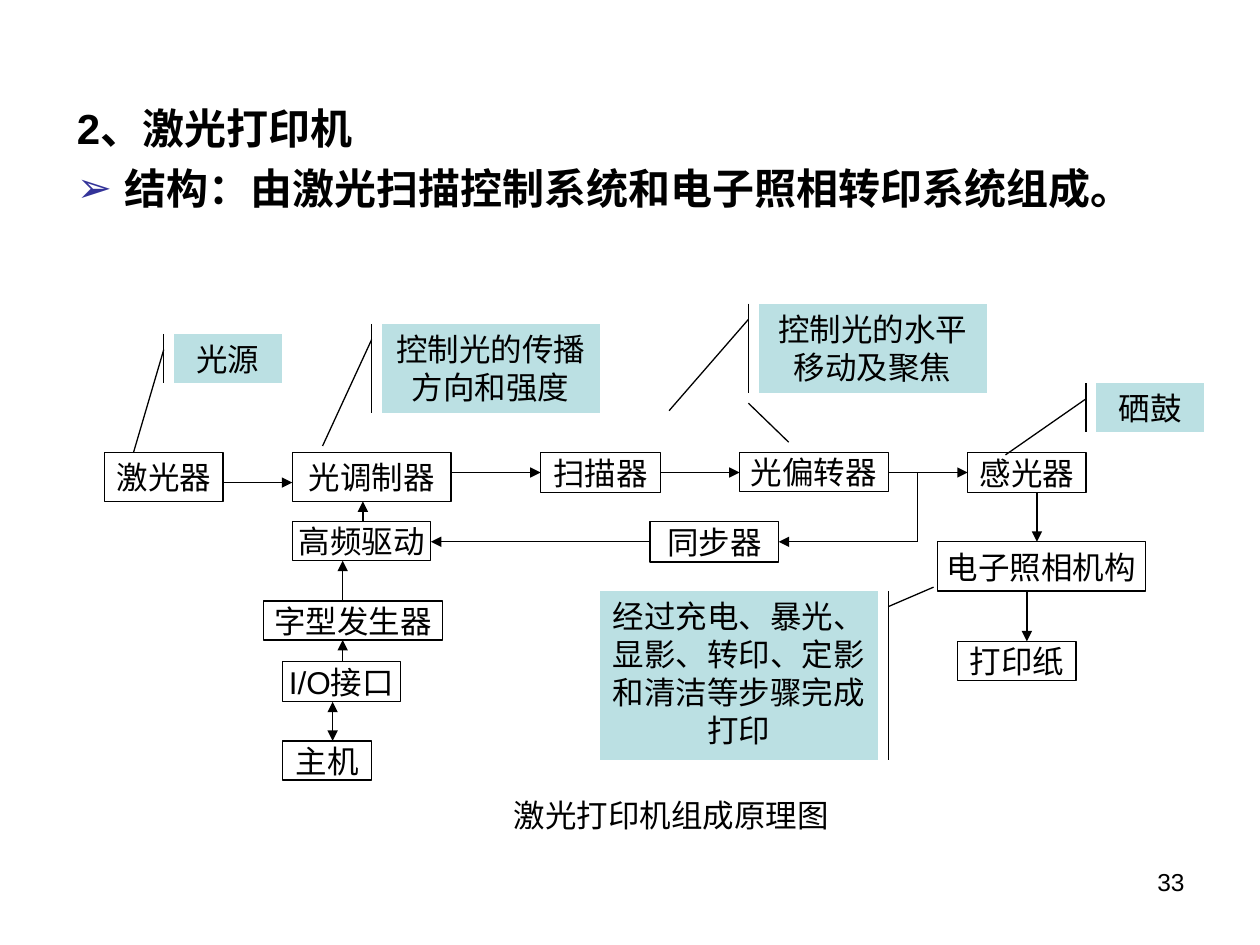
from lxml import etree
from pptx import Presentation
from pptx.dml.color import RGBColor
from pptx.enum.shapes import MSO_CONNECTOR, MSO_SHAPE
from pptx.enum.text import MSO_ANCHOR, PP_ALIGN
from pptx.oxml.ns import qn
from pptx.util import Inches, Pt

RECTANGLE = MSO_SHAPE.RECTANGLE
CALLOUT = MSO_SHAPE.LINE_CALLOUT_1_ACCENT_BAR
STRAIGHT = MSO_CONNECTOR.STRAIGHT
LEFT, CENTER, RIGHT = PP_ALIGN.LEFT, PP_ALIGN.CENTER, PP_ALIGN.RIGHT
TOP, MIDDLE = MSO_ANCHOR.TOP, MSO_ANCHOR.MIDDLE
BLACK, CALLOUT_FILL, BULLET_COLOR = "000000", "BBE0E3", "333399"
BAR_GAP = 0.08  # from a callout to its accent bar
LEADER_DROP = 0.125  # from the top of the bar to the leader line

HEADING = "2、激光打印机"
BULLET = "结构：由激光扫描控制系统和电子照相转印系统组成。"
CAPTION = "激光打印机组成原理图"
PAGE_NUMBER = "33"

# label: (left, top, width, height)
BOXES = {
    "激光器": (0.83, 3.59, 0.94, 0.39),
    "光调制器": (2.32, 3.59, 1.26, 0.39),
    "扫描器": (4.29, 3.59, 0.95, 0.32),
    "光偏转器": (5.87, 3.59, 1.18, 0.31),
    "感光器": (7.68, 3.59, 0.94, 0.32),
    "高频驱动": (2.32, 4.14, 1.1, 0.31),
    "同步器": (5.16, 4.14, 1.02, 0.32),
    "电子照相机构": (7.44, 4.3, 1.65, 0.39),
    "字型发生器": (2.09, 4.77, 1.42, 0.31),
    "打印纸": (7.6, 5.09, 0.94, 0.31),
    "I/O接口": (2.24, 5.25, 0.94, 0.32),
    "主机": (2.24, 5.88, 0.71, 0.31),
}
# (source, target, y of the arrow)
HORIZONTAL_ARROWS = [
    ("激光器", "光调制器", 3.83),
    ("光调制器", "扫描器", 3.75),
    ("扫描器", "光偏转器", 3.75),
    ("光偏转器", "感光器", 3.75),
    ("同步器", "高频驱动", 4.3),
]
# (source, target, x of the arrow, arrowheads at both ends)
VERTICAL_ARROWS = [
    ("高频驱动", "光调制器", 2.88, False),
    ("字型发生器", "高频驱动", 2.72, False),
    ("I/O接口", "字型发生器", 2.72, False),
    ("I/O接口", "主机", 2.64, True),
    ("感光器", "电子照相机构", 8.23, False),
    ("电子照相机构", "打印纸", 8.15, False),
]
# (text, box, side of the bar, tip of the leader line)
CALLOUTS = [
    ("光源", (1.38, 2.65, 0.86, 0.39), LEFT, (1.06, 3.59)),
    ("控制光的传播方向和强度", (3.03, 2.57, 1.73, 0.71), LEFT, (2.56, 3.54)),
    ("控制光的水平移动及聚焦", (6.02, 2.41, 1.81, 0.71), LEFT, (5.31, 3.26)),
    ("硒鼓", (8.7, 3.04, 0.86, 0.39), LEFT, (7.98, 3.61)),
    ("经过充电、暴光、显影、转印、定影和清洁等步骤完成打印",
     (4.76, 4.69, 2.21, 1.34), RIGHT, (7.41, 4.66)),
]
BRANCH_X, BRANCH_TOP, BRANCH_BOTTOM = 7.28, 3.75, 4.3


def color(value):
    return RGBColor.from_string(value)


def inches(values):
    return [Inches(value) for value in values]


def format_font(paragraph, size, bold=False):
    font = paragraph.font
    font.name, font.size, font.bold = "Arial", Pt(size), bold
    font.color.rgb = color(BLACK)


def set_text(shape, text, size=18, align=LEFT, anchor=TOP, wrap=True, margins=(0.1, 0.05)):
    frame = shape.text_frame
    frame.word_wrap, frame.vertical_anchor = wrap, anchor
    frame.margin_left = frame.margin_right = Inches(margins[0])
    frame.margin_top = frame.margin_bottom = Inches(margins[1])
    paragraph = frame.paragraphs[0]
    paragraph.text, paragraph.alignment = text, align
    format_font(paragraph, size)


def add_outlined(slide, kind, box):
    shape = slide.shapes.add_shape(kind, *inches(box))
    shape.shadow.inherit = False
    shape.line.color.rgb = color(BLACK)
    shape.line.width = Pt(0.75)
    return shape


def add_box(slide, label, box):
    shape = add_outlined(slide, RECTANGLE, box)
    shape.fill.background()
    set_text(shape, label, align=CENTER, anchor=MIDDLE, wrap=False, margins=(0.02, 0.01))


def add_callout(slide, text, box, side, tip):
    left, top, width, height = box
    shape = add_outlined(slide, CALLOUT, box)
    shape.fill.solid()
    shape.fill.fore_color.rgb = color(CALLOUT_FILL)
    bar = -BAR_GAP if side == LEFT else width + BAR_GAP
    fractions = (LEADER_DROP / height, bar / width,
                 (tip[1] - top) / height, (tip[0] - left) / width)
    for index, fraction in enumerate(fractions):
        shape.adjustments[index] = fraction
    set_text(shape, text, align=CENTER)


def add_line(slide, start, end, *arrowheads):
    """Draw a line; arrowheads names its ends: headEnd at start, tailEnd at end."""
    connector = slide.shapes.add_connector(STRAIGHT, *inches(start + end))
    connector.line.color.rgb = color(BLACK)
    connector.line.width = Pt(0.75)
    line = connector.line._get_or_add_ln()
    for name in arrowheads:
        etree.SubElement(line, qn(f"a:{name}"), type="triangle")
    etree.SubElement(connector._element.spPr, qn("a:effectLst"))


def facing_edges(source, target, axis):
    """Return where a line leaves source and enters target along axis 0 or 1."""
    first, second = BOXES[source], BOXES[target]
    if first[axis] < second[axis]:
        return first[axis] + first[axis + 2], second[axis]
    return first[axis], second[axis] + second[axis + 2]


def fill_body(body):
    body.left, body.top, body.width, body.height = inches((0.51, 0.76, 9.21, 1.26))
    frame = body.text_frame
    frame.text = f"{HEADING}\n{BULLET}"
    for paragraph, marker in zip(frame.paragraphs, (None, "➢")):
        properties = paragraph._p.get_or_add_pPr()
        properties.set("marL", str(Inches(0.38)))
        properties.set("indent", str(-Inches(0.38)))
        if marker:
            bullet_color = etree.SubElement(properties, qn("a:buClr"))
            etree.SubElement(bullet_color, qn("a:srgbClr"), val=BULLET_COLOR)
            etree.SubElement(properties, qn("a:buChar"), char=marker)
        else:
            etree.SubElement(properties, qn("a:buNone"))
        paragraph.space_before = Pt(6 if marker else 0)
        format_font(paragraph, 24, bold=True)


def main():
    presentation = Presentation()
    presentation.slide_width, presentation.slide_height = inches((10, 7.5))
    slide = presentation.slides.add_slide(presentation.slide_layouts[1])
    title = slide.shapes.title._element
    title.getparent().remove(title)
    fill_body(slide.placeholders[1])

    for label, box in BOXES.items():
        add_box(slide, label, box)
    for source, target, y in HORIZONTAL_ARROWS:
        start, end = facing_edges(source, target, 0)
        add_line(slide, (start, y), (end, y), "tailEnd")
    for source, target, x, both in VERTICAL_ARROWS:
        start, end = facing_edges(source, target, 1)
        heads = ("headEnd", "tailEnd") if both else ("tailEnd",)
        add_line(slide, (x, start), (x, end), *heads)

    corner = (BRANCH_X, BRANCH_BOTTOM)
    left, _, width, _ = BOXES["同步器"]
    add_line(slide, (BRANCH_X, BRANCH_TOP), corner)
    add_line(slide, corner, (left + width, BRANCH_BOTTOM), "tailEnd")

    for callout in CALLOUTS:
        add_callout(slide, *callout)
    add_line(slide, (5.94, 3.2), (6.26, 3.51))

    caption = slide.shapes.add_textbox(*inches((3.98, 6.27, 3.15, 0.4)))
    set_text(caption, CAPTION)
    number = slide.shapes.add_textbox(*inches((7.17, 6.83, 2.33, 0.52)))
    set_text(number, PAGE_NUMBER, size=14, align=RIGHT)
    presentation.save("out.pptx")


if __name__ == "__main__":
    main()
